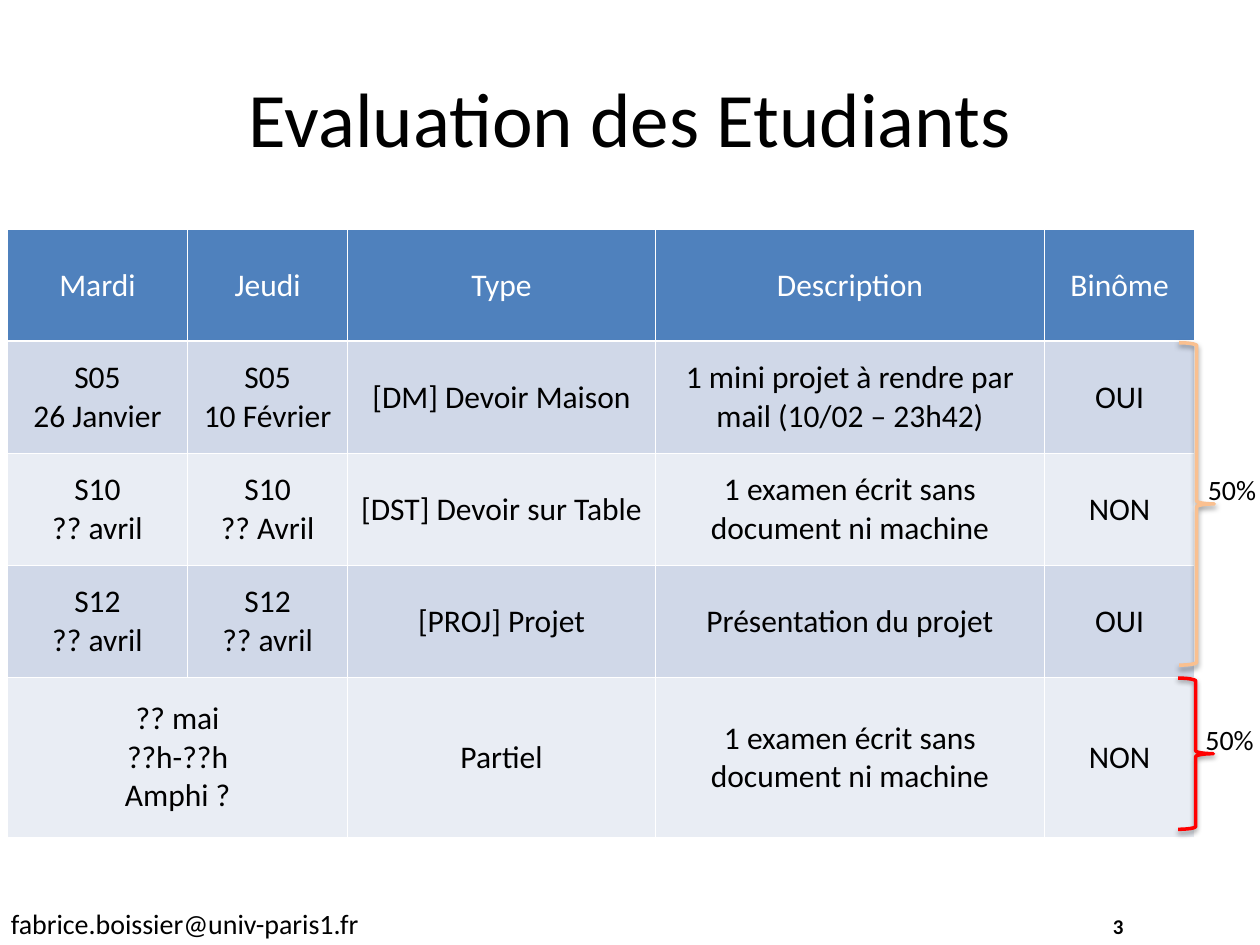
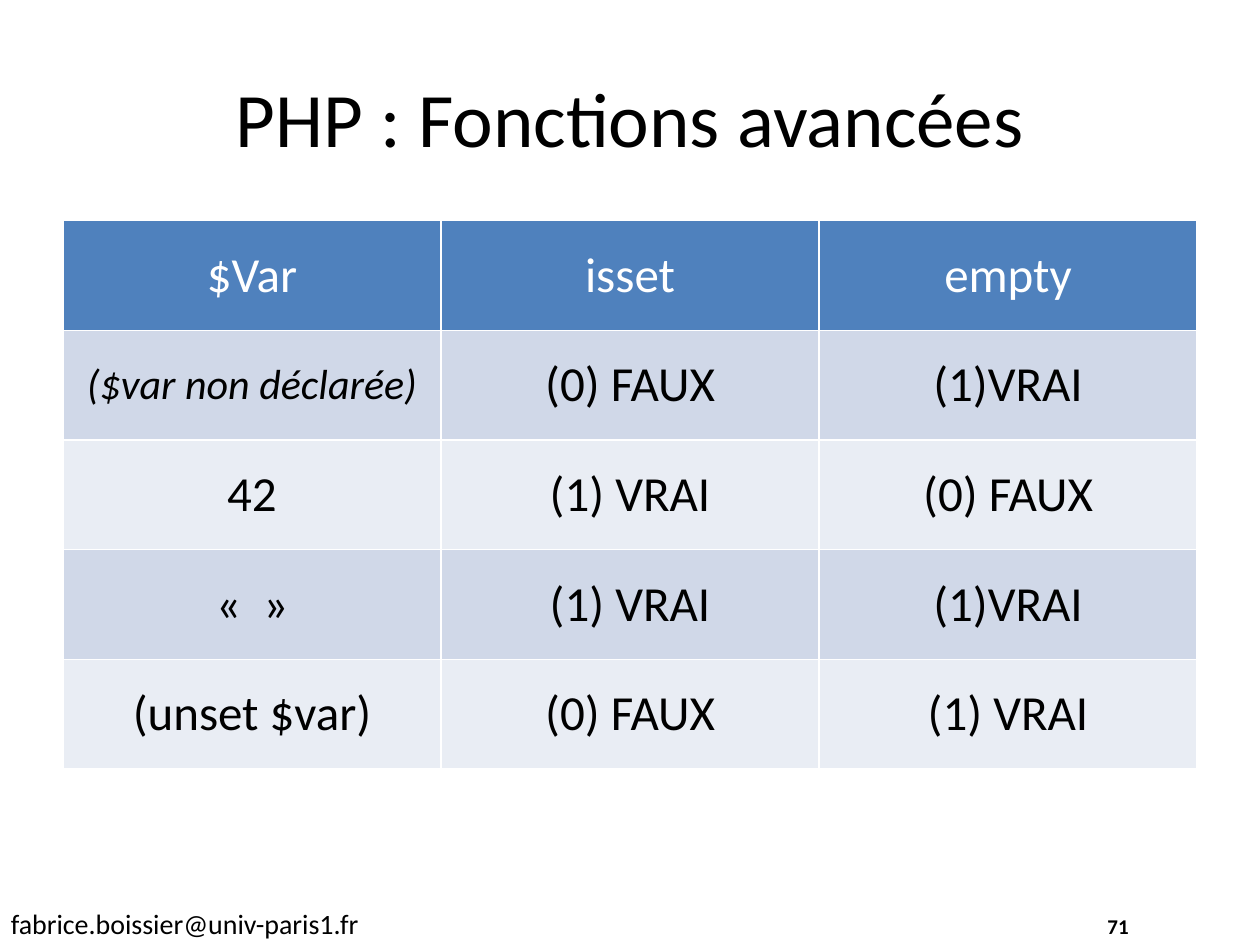
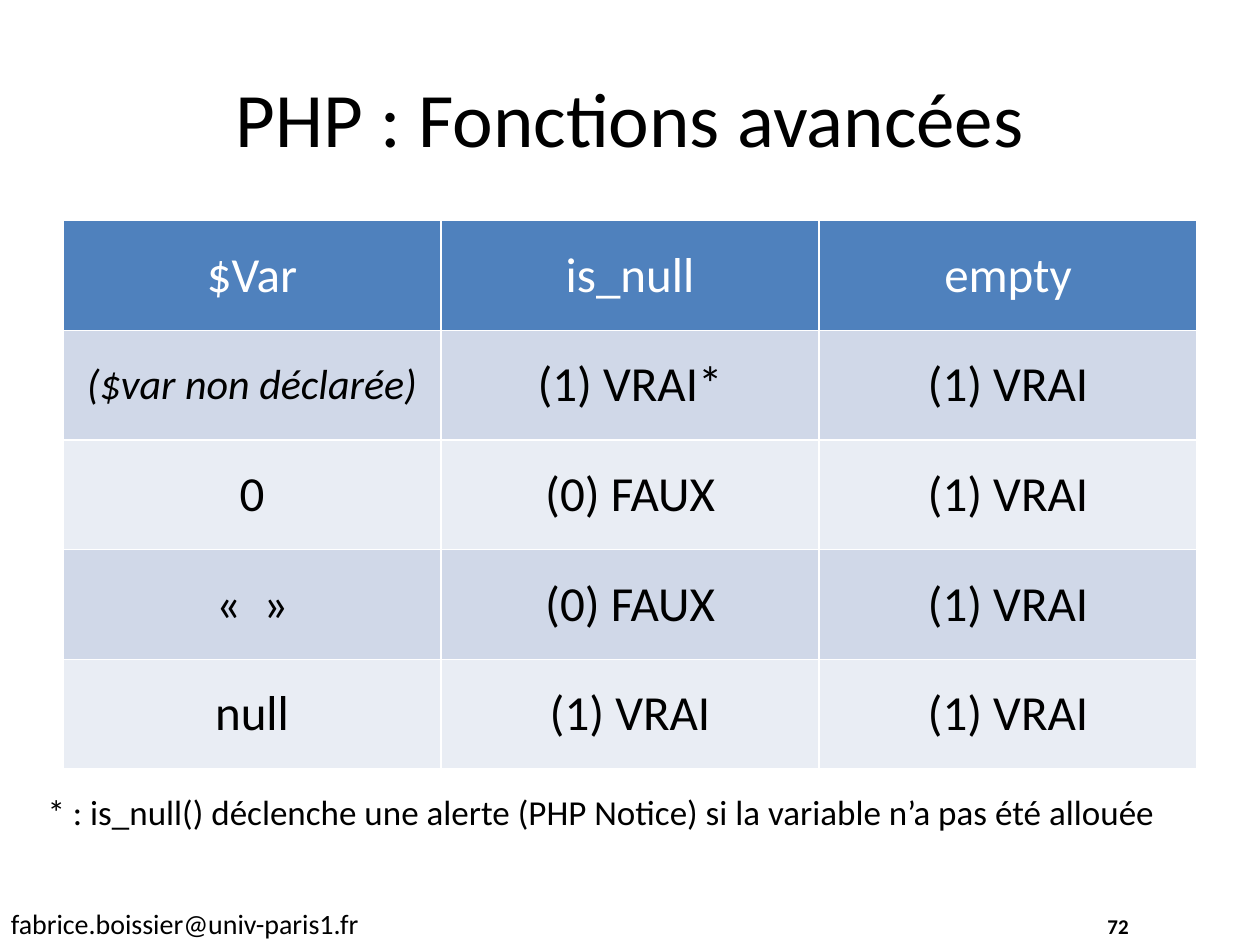
from pptx import Presentation
from pptx.dml.color import RGBColor
from pptx.enum.shapes import MSO_SHAPE as Shape
from pptx.enum.text import MSO_ANCHOR as Anchor, PP_ALIGN as Align
from pptx.oxml import parse_xml
from pptx.oxml.ns import nsdecls
from pptx.util import Cm, Pt

FONT = "Calibri"
BLACK, WHITE = "000000", "FFFFFF"
HEADER_FILL = "4F81BD"
BAND_FILLS = ("E9EDF4", "D0D8E8")
EMAIL = "fabrice.boissier@univ-paris1.fr"
TITLE_ONLY_LAYOUT = 5
NUMBER_INDENT = Cm(0.95)


def rgb(hex_colour):
    return RGBColor.from_string(hex_colour)


def number_paragraph(paragraph):
    """Put an automatic (1) in front of the paragraph."""
    properties = paragraph._p.get_or_add_pPr()
    properties.set("marL", str(NUMBER_INDENT))
    properties.set("indent", str(-NUMBER_INDENT))
    properties.append(parse_xml(f'<a:buAutoNum {nsdecls("a")} type="arabicParenBoth"/>'))


def write(text_frame, text, size=18, colour=BLACK, bold=False, italic=False,
          align=Align.LEFT, numbered=False):
    text_frame.text = text
    for paragraph in text_frame.paragraphs:
        paragraph.alignment = align
        if numbered:
            number_paragraph(paragraph)
        for run in paragraph.runs:
            font = run.font
            font.name, font.size = FONT, Pt(size)
            font.bold, font.italic = bold, italic
            font.color.rgb = rgb(colour)


class Deck:
    def __init__(self):
        self.presentation = Presentation()
        self.presentation.slide_width = Cm(25.4)
        self.presentation.slide_height = Cm(19.05)
        self.slide = None

    def add_slide(self, title, number):
        layout = self.presentation.slide_layouts[TITLE_ONLY_LAYOUT]
        self.slide = self.presentation.slides.add_slide(layout)
        placeholder = self.slide.shapes.title
        placeholder.left, placeholder.top = Cm(1.27), Cm(0.76)
        placeholder.width, placeholder.height = Cm(22.86), Cm(3.18)
        write(placeholder.text_frame, title, size=44, align=Align.CENTER)
        self.text(-0.03, 18.16, 7.72, 0.94, EMAIL, wrap=False, size=16)
        self.text(19.58, 18.16, 5.92, 1.02, str(number), anchor=Anchor.MIDDLE,
                  size=12, bold=True, align=Align.CENTER)

    def text(self, left, top, width, height, text, wrap=True, anchor=Anchor.TOP, **text_format):
        box = self.slide.shapes.add_textbox(Cm(left), Cm(top), Cm(width), Cm(height))
        box.text_frame.word_wrap = wrap
        box.text_frame.vertical_anchor = anchor
        write(box.text_frame, text, **text_format)

    def table(self, left, top, widths, heights, rows, size):
        """Fill a banded table; a cell is a text or a pair of text and format."""
        frame = self.slide.shapes.add_table(
            len(heights), len(widths), Cm(left), Cm(top), Cm(sum(widths)), Cm(sum(heights)))
        table = frame.table
        for column, width in zip(table.columns, widths):
            column.width = Cm(width)
        for row, height in zip(table.rows, heights):
            row.height = Cm(height)
        for row_index, row in enumerate(rows):
            is_header = row_index == 0
            fill = HEADER_FILL if is_header else BAND_FILLS[row_index % 2]
            for column_index, content in enumerate(row):
                text, changes = content if isinstance(content, tuple) else (content, {})
                cell = table.cell(row_index, column_index)
                cell.fill.solid()
                cell.fill.fore_color.rgb = rgb(fill)
                cell.vertical_anchor = Anchor.MIDDLE
                text_format = {"size": size, "colour": WHITE if is_header else BLACK,
                               "align": Align.CENTER, **changes}
                write(cell.text_frame, text, **text_format)
        return table

    def brace(self, left, top, width, height, colour):
        brace = self.slide.shapes.add_shape(
            Shape.RIGHT_BRACE, Cm(left), Cm(top), Cm(width), Cm(height))
        brace.fill.background()
        brace.line.color.rgb = rgb(colour)
        brace.line.width = Pt(2)
        brace.shadow.inherit = False
        effects = brace._element.spPr.find("{*}effectLst")
        effects.append(parse_xml(
            f'<a:outerShdw {nsdecls("a")} blurRad="{Pt(3.1)}" dist="{Pt(1.6)}" dir="5400000"'
            ' rotWithShape="0"><a:srgbClr val="000000"><a:alpha val="38000"/></a:srgbClr>'
            '</a:outerShdw>'))

    def function_table(self, rows):
        self.table(1.27, 4.45, [7.62] * 3, [2.21] * 5, rows, size=28)


def evaluation_slide(deck):
    deck.add_slide("Evaluation des Etudiants", 3)
    written_exam = "1 examen écrit sans document ni machine"
    table = deck.table(
        0.15, 4.62, [3.63, 3.23, 6.2, 7.85, 3.02], [2.26] * 4 + [3.23],
        [
            ["Mardi", "Jeudi", "Type", "Description", "Binôme"],
            ["S05\n26 Janvier", "S05\n10 Février", "[DM] Devoir Maison",
             "1 mini projet à rendre par mail (10/02 – 23h42)", "OUI"],
            ["S10\n?? avril", "S10\n?? Avril", "[DST] Devoir sur Table", written_exam, "NON"],
            ["S12\n?? avril", "S12\n?? avril", "[PROJ] Projet", "Présentation du projet", "OUI"],
            ["?? mai\n??h-??h\nAmphi ?", "", "Partiel", written_exam, "NON"],
        ], size=18)
    table.cell(4, 0).merge(table.cell(4, 1))
    deck.brace(23.77, 6.91, 0.71, 6.5, "FAC090")
    deck.brace(23.75, 13.67, 0.71, 3.05, "FF0000")
    for left, top in ((24.1, 9.4), (24.05, 14.45)):
        deck.text(left, top, 1.6, 0.94, "50%", size=16)


def function_slides(deck):
    title = "PHP : Fonctions avancées"
    undeclared = ("($var non déclarée)", {"size": 24, "italic": True})
    false, true = "(0) FAUX", "(1) VRAI"
    numbered_true = (" VRAI", {"numbered": True})
    tight_true = ("VRAI", {"numbered": True})

    deck.add_slide(title, 71)
    deck.function_table([
        ["$Var", "isset", "empty"],
        [undeclared, false, tight_true],
        ["42", true, false],
        ["«  »", true, tight_true],
        ["(unset $var)", false, true],
    ])

    deck.add_slide(title, 72)
    deck.function_table([
        ["$Var", "is_null", "empty"],
        [undeclared, "(1) VRAI*", numbered_true],
        ["0", false, numbered_true],
        ["«  »", false, numbered_true],
        ["null", true, numbered_true],
    ])
    deck.text(0.71, 15.82, 24, 1.12, "* : is_null() déclenche une alerte (PHP Notice) "
              "si la variable n’a pas été allouée", size=20)


def main():
    deck = Deck()
    evaluation_slide(deck)
    function_slides(deck)
    deck.presentation.save("out.pptx")


if __name__ == "__main__":
    main()
